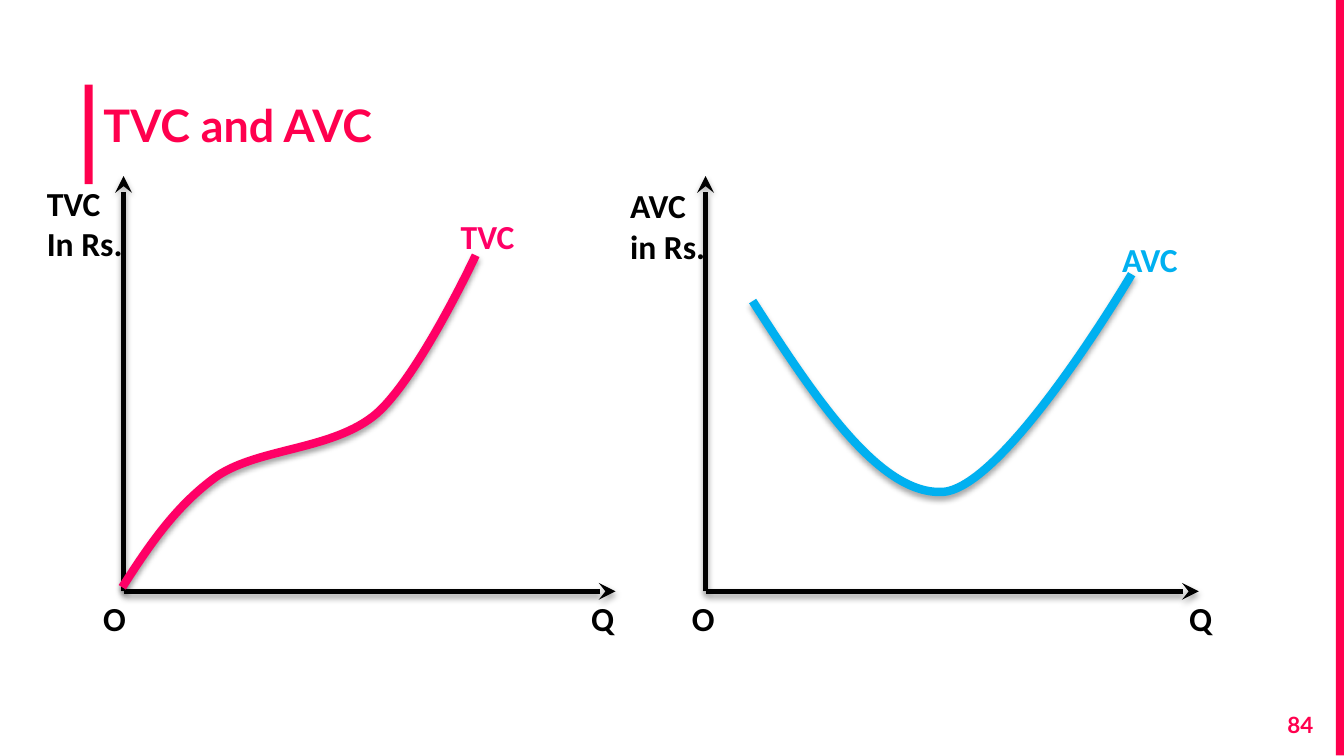
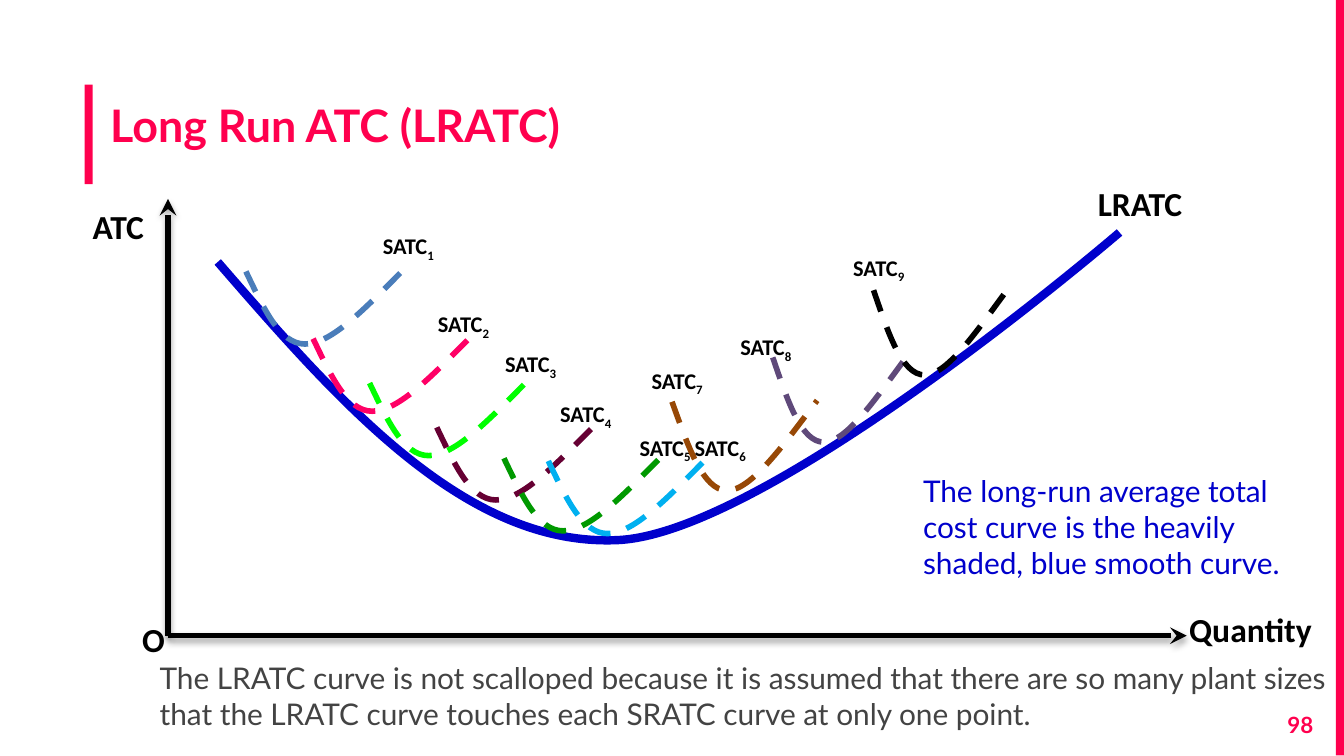
from dataclasses import dataclass

from lxml.etree import SubElement
from pptx import Presentation
from pptx.dml.color import RGBColor
from pptx.enum.dml import MSO_LINE
from pptx.enum.shapes import MSO_CONNECTOR, MSO_SHAPE
from pptx.enum.text import MSO_ANCHOR, MSO_AUTO_SIZE, PP_ALIGN
from pptx.oxml.ns import qn
from pptx.util import Emu, Pt

PX = 9144  # EMU per px, 100 px to the inch
WIDTH = 1000

COLORS = {
    "accent": "FF004E", "black": "000000", "grey": "434343", "pink": "FF0066",
    "sky": "00B0F0", "blue": "0000CC", "steel": "4A7DBA", "lime": "00FF00",
    "plum": "660033", "green": "009900", "brown": "974806", "violet": "5F497A",
}

# Short-run cost curve as fractions of its width and height
U_CURVE = [(0, 0.02), (0.11, 0.51), (0.21, 1), (0.38, 1), (0.55, 1), (0.77, 0.49), (1, 0)]


@dataclass
class Axes:
    x: int
    y: int
    top: int
    right: int


@dataclass
class Label:
    text: str
    x: int
    y: int
    w: int
    h: int = 40
    color: str = "black"
    size: int = 18
    font: str = "Calibri"
    bold: bool = True
    sub: str = ""
    wrap: bool = False


@dataclass
class Curve:
    points: list[tuple[int, int]]  # start, then three points per Bezier piece
    color: str
    width: float = 4.5
    dashed: bool = False
    shadow: bool = False


@dataclass
class ShortRun:
    color: str
    x: int
    y: int
    label_x: int
    label_y: int
    w: int = 117
    h: int = 55


def px(n: int) -> Emu:
    return Emu(n * PX)


def rgb(name: str) -> RGBColor:
    return RGBColor.from_string(COLORS[name])


def style_font(p, size: int, font: str, color: str, bold: bool) -> None:
    p.font.size, p.font.name, p.font.bold = Pt(size), font, bold
    p.font.color.rgb = rgb(color)


def add_shadow(effects) -> None:
    shadow = SubElement(effects, qn("a:outerShdw"), blurRad="39370", dist="22860",
                        dir="5400000", rotWithShape="0")
    color = SubElement(shadow, qn("a:srgbClr"), val=COLORS["black"])
    SubElement(color, qn("a:alpha"), val="35000")


def add_bar(s, x: int, y: int, w: int, h: int) -> None:
    sp = s.shapes.add_shape(MSO_SHAPE.RECTANGLE, px(x), px(y), px(w), px(h))
    sp.shadow.inherit = False
    sp.fill.solid()
    sp.fill.fore_color.rgb = rgb("accent")
    sp.line.fill.background()


def add_label(s, label: Label):
    sp = s.shapes.add_textbox(px(label.x), px(label.y), px(label.w), px(label.h))
    tf = sp.text_frame
    tf.word_wrap = label.wrap
    for i, line in enumerate(label.text.split("\n")):
        p = tf.paragraphs[0] if i == 0 else tf.add_paragraph()
        p.add_run().text = line
        style_font(p, label.size, label.font, label.color, label.bold)
    if label.sub:
        r = p.add_run()
        r.text = label.sub
        r._r.get_or_add_rPr().set("baseline", "-25000")
    return tf


def add_arrow(s, x1: int, y1: int, x2: int, y2: int) -> None:
    c = s.shapes.add_connector(MSO_CONNECTOR.STRAIGHT, px(x1), px(y1), px(x2), px(y2))
    c.line.color.rgb = rgb("black")
    c.line.width = Pt(3)
    SubElement(c.line._get_or_add_ln(), qn("a:tailEnd"), type="stealth")
    add_shadow(SubElement(c._element.spPr, qn("a:effectLst")))


def add_axes(s, axes: Axes) -> None:
    add_arrow(s, axes.x, axes.y, axes.x, axes.top)
    add_arrow(s, axes.x, axes.y, axes.right, axes.y)


def add_curve(s, curve: Curve) -> None:
    """Build an outline through the control points, then bend it into Beziers."""
    start, *rest = curve.points
    builder = s.shapes.build_freeform(*start, scale=PX)
    builder.add_line_segments(rest, close=False)
    sp = builder.convert_to_shape()
    outline = next(sp._element.iter(qn("a:path")))
    segments = outline.findall(qn("a:lnTo"))
    for i in range(0, len(segments), 3):
        bezier = SubElement(outline, qn("a:cubicBezTo"))
        for segment in segments[i:i + 3]:
            bezier.append(segment[0])
            outline.remove(segment)
    sp.fill.background()
    sp.line.color.rgb = rgb(curve.color)
    sp.line.width = Pt(curve.width)
    if curve.dashed:
        sp.line.dash_style = MSO_LINE.DASH
    sp.shadow.inherit = False
    if curve.shadow:
        add_shadow(sp._element.spPr.find(qn("a:effectLst")))


def add_short_run(s, run: ShortRun, number: int) -> None:
    points = [(round(run.x + fx * run.w), round(run.y + fy * run.h)) for fx, fy in U_CURVE]
    add_curve(s, Curve(points, run.color, 3, dashed=True))
    add_label(s, Label("SATC", run.label_x, run.label_y, 59, 30, size=12, sub=str(number)))


def add_slide(prs, title: str, x: int, w: int, number: int):
    """Add a slide with bars, title and page number."""
    s = prs.slides.add_slide(prs.slide_layouts[5])
    add_bar(s, 63, 63, 6, 74)
    add_bar(s, 994, 0, 6, round(prs.slide_height / PX))
    sp = s.shapes.title
    sp.left, sp.top, sp.width, sp.height = px(x), px(46), px(w), px(94)
    tf = sp.text_frame
    tf.text = title
    tf.auto_size = MSO_AUTO_SIZE.NONE
    tf.vertical_anchor = MSO_ANCHOR.MIDDLE
    p = tf.paragraphs[0]
    p.alignment = PP_ALIGN.LEFT
    style_font(p, 24, "Lato", "accent", True)
    page = add_label(s, Label(str(number), 927, 519, 60, 43, "accent", 12, "Lato", wrap=True))
    page.margin_top = page.margin_bottom = px(10)
    page.paragraphs[0].alignment = PP_ALIGN.RIGHT
    return s


def build_variable_cost(prs) -> None:
    s = add_slide(prs, "TVC and AVC", 67, 916, 84)
    for axes in (Axes(92, 440, 131, 458), Axes(525, 440, 131, 892)):
        add_axes(s, axes)
    curves = [
        Curve([(91, 437), (111, 406), (131, 376), (162, 354), (194, 333), (248, 335),
               (280, 308), (312, 280), (354, 190), (354, 190)], "pink", shadow=True),
        Curve([(560, 224), (607, 297), (655, 369), (702, 366), (749, 362), (842, 204),
               (842, 204)], "sky", shadow=True),
    ]
    for curve in curves:
        add_curve(s, curve)
    labels = [
        Label("TVC\nIn Rs.", 25, 131, 77, 71),
        Label("AVC\nin Rs.", 459, 133, 76, 71),
        Label("O", 67, 440, 37),
        Label("Q", 430, 440, 37),
        Label("O", 505, 440, 37),
        Label("Q", 875, 440, 38),
        Label("TVC", 333, 156, 60, color="pink"),
        Label("AVC", 825, 173, 62, color="sky"),
    ]
    for label in labels:
        add_label(s, label)


def build_long_run(prs) -> None:
    s = add_slide(prs, "Long Run ATC (LRATC)", 72, 907, 98)
    add_axes(s, Axes(125, 473, 148, 883))
    add_curve(s, Curve([(162, 195), (254, 301), (346, 406), (458, 402), (570, 399),
                        (833, 173), (833, 173)], "blue"))
    short_runs = [
        ShortRun("steel", 183, 201, 275, 168),
        ShortRun("pink", 233, 251, 316, 226),
        ShortRun("lime", 275, 284, 366, 256),
        ShortRun("plum", 325, 317, 407, 293),
        ShortRun("green", 375, 340, 466, 318),
        ShortRun("sky", 408, 342, 507, 318),
        ShortRun("brown", 500, 298, 475, 268, 108, 67),
        ShortRun("violet", 575, 265, 541, 243, 100, 64),
        ShortRun("black", 650, 215, 625, 184, 100, 64),
    ]
    for number, run in enumerate(short_runs, 1):
        add_short_run(s, run, number)
    labels = [
        Label("ATC", 59, 148, 59),
        Label("O", 96, 456, 37),
        Label("Quantity", 875, 448, 112),
        Label("LRATC", 807, 131, 84),
        Label("The long-run average total\ncost curve is the heavily\nshaded, blue smooth curve.",
              677, 347, 315, 101, "blue", 16, "Lato", False, wrap=True),
        Label("The LRATC curve is not scalloped because it is assumed that there are so many "
              "plant sizes that the LRATC curve touches each SRATC curve at only one point.",
              109, 486, 890, 71, "grey", 16, "Lato", False, wrap=True),
    ]
    for label in labels:
        add_label(s, label)


def main() -> None:
    prs = Presentation()
    prs.slide_width = px(WIDTH)
    prs.slide_height = Emu(prs.slide_width * 9 // 16)
    build_variable_cost(prs)
    build_long_run(prs)
    prs.save("out.pptx")


if __name__ == "__main__":
    main()
